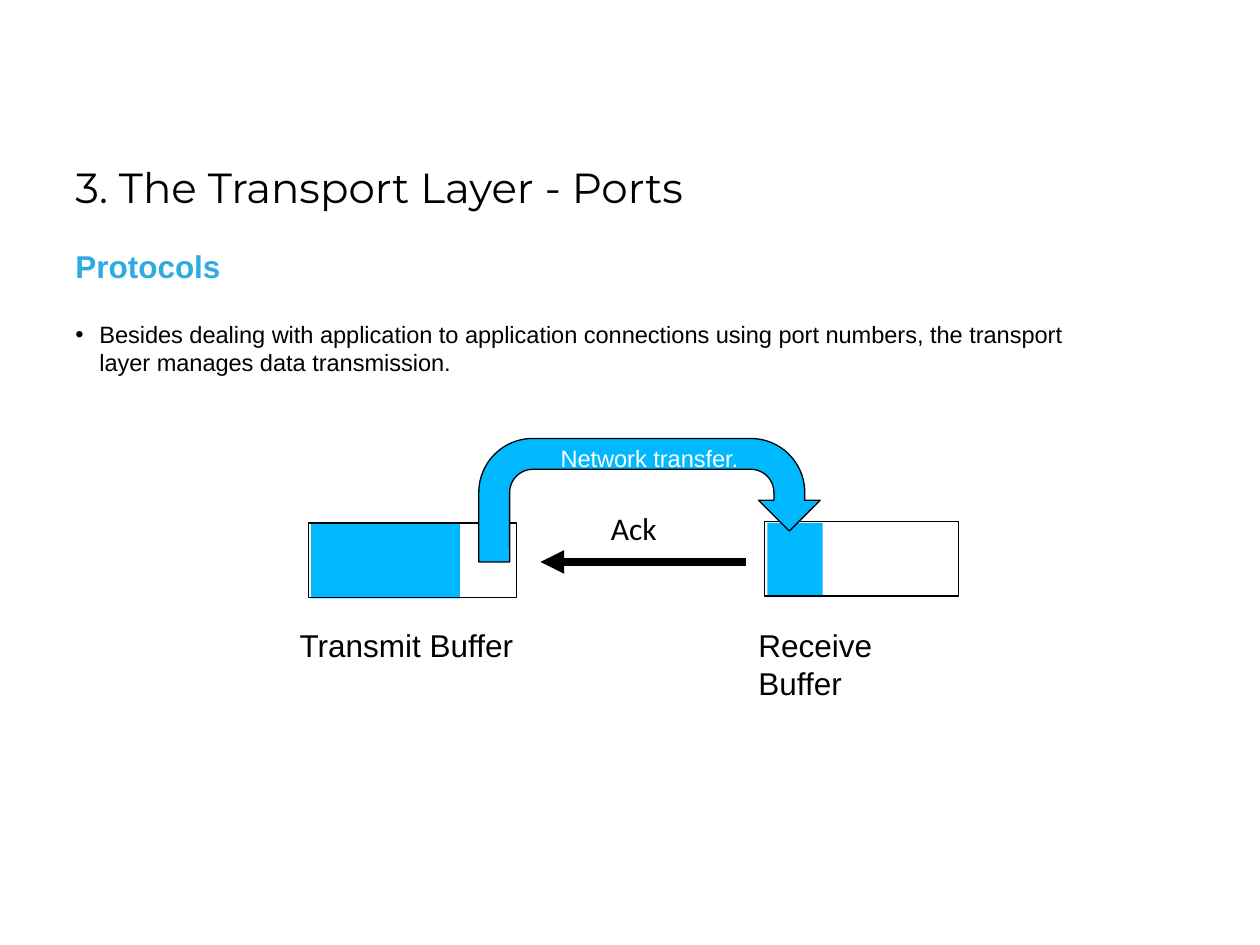
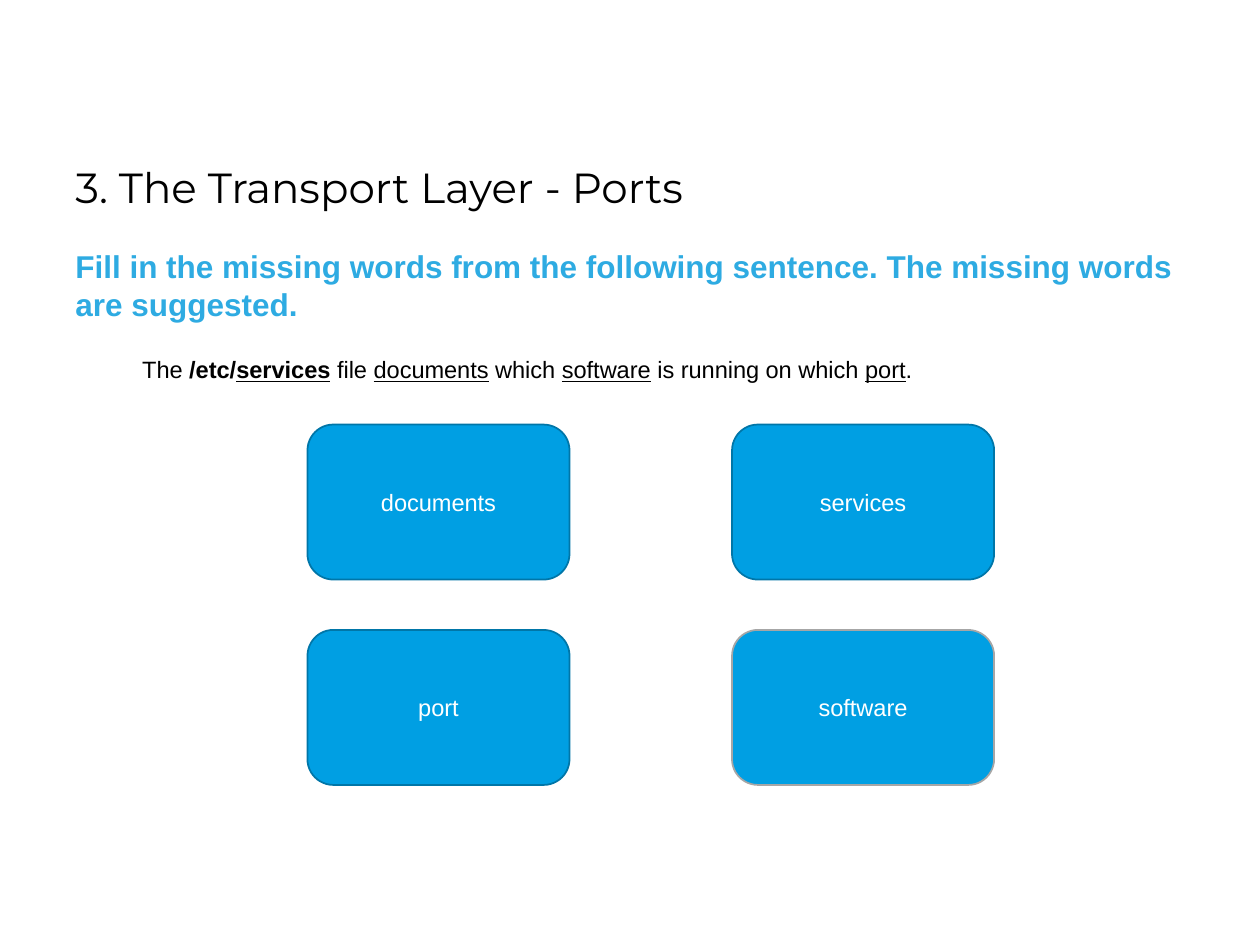
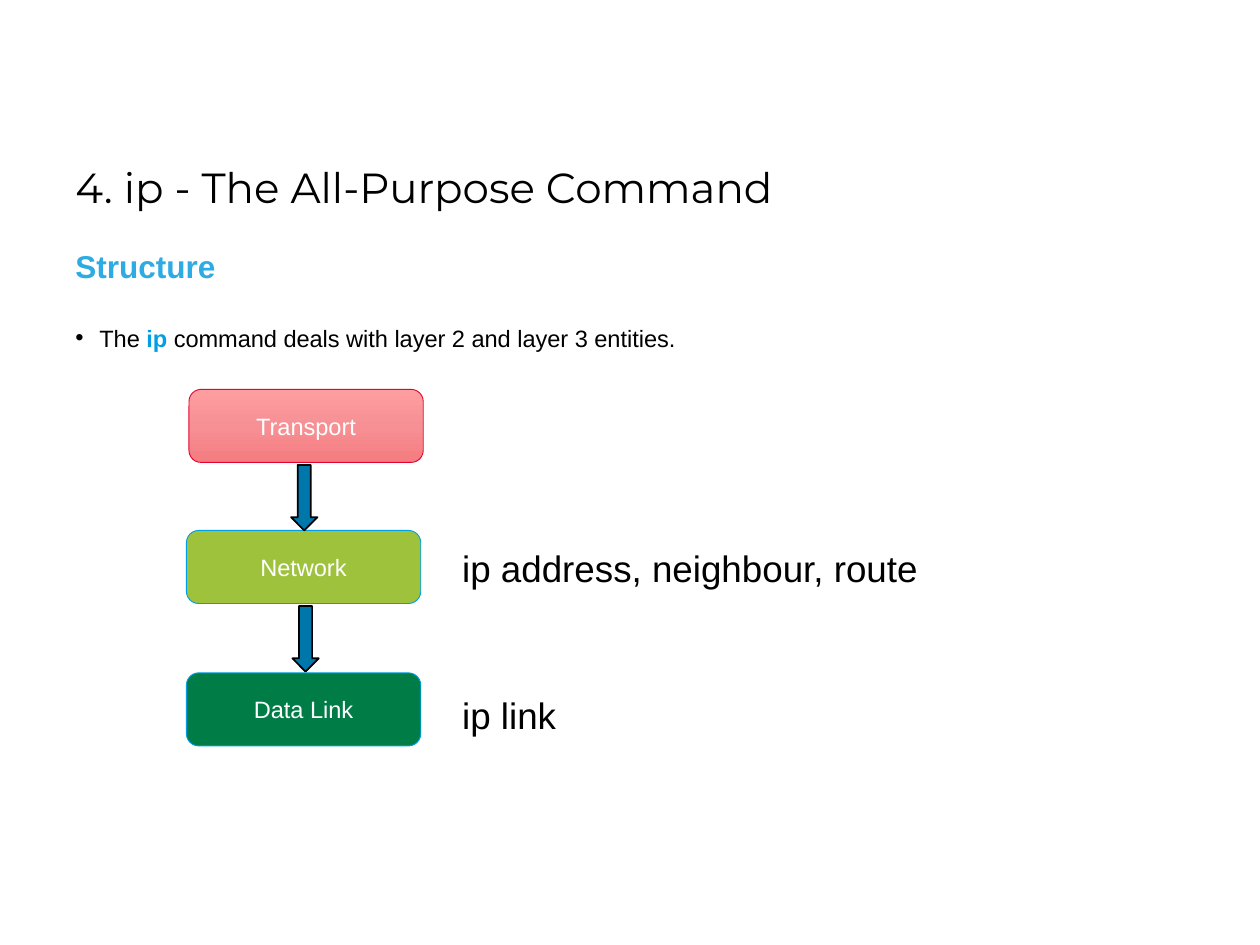
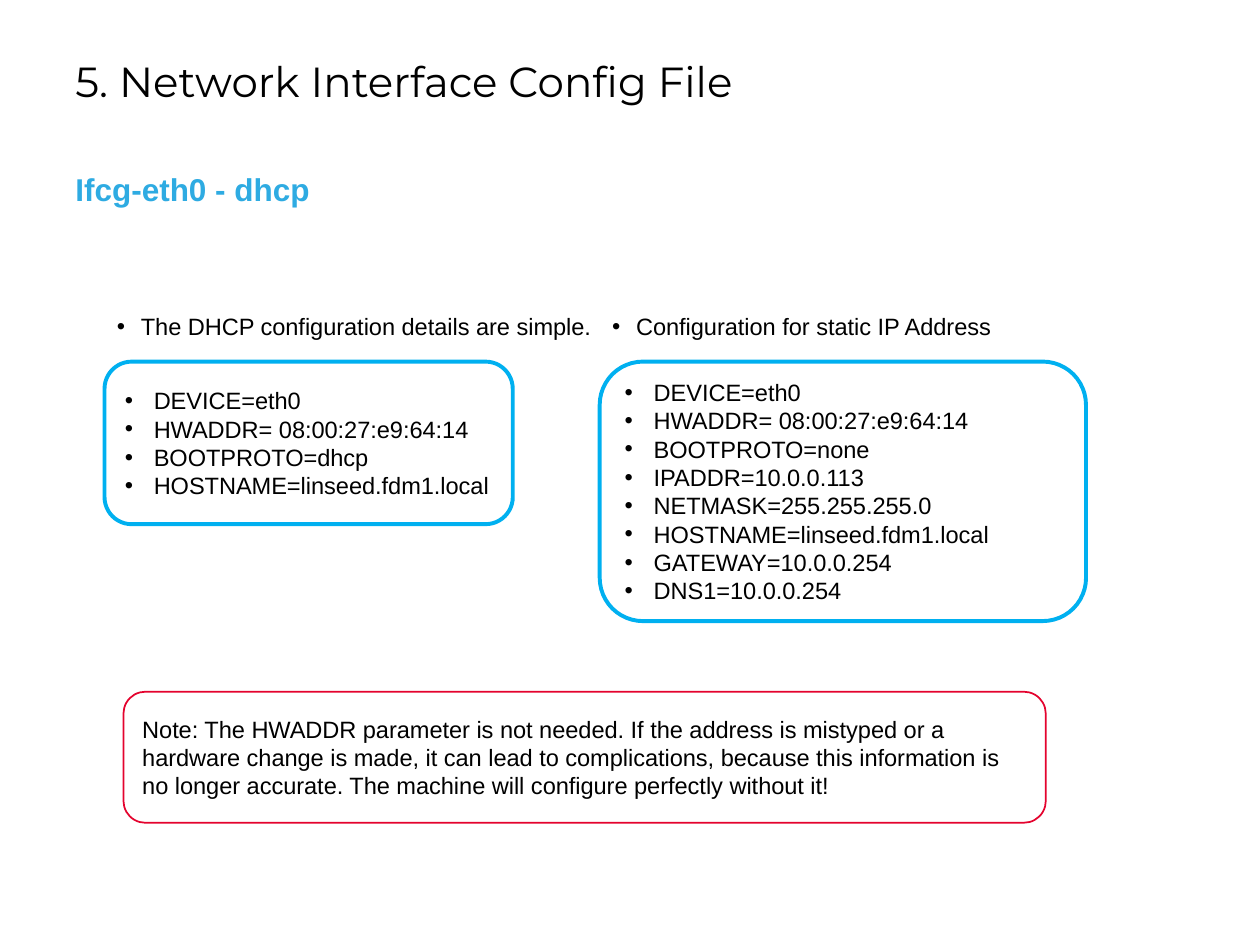
"""Build four slides on the transport layer, the ip command and network config."""
import copy

import lxml.etree
import pptx
import pptx.chart.data
import pptx.dml.color
import pptx.enum.shapes
import pptx.enum.text
import pptx.oxml.ns
import pptx.util

PX = 9144
BLACK, WHITE, RED = "000000", "FFFFFF", "E4032E"
HEAD, SKY, AQUA, CYAN, NAVY = "2EABE2", "009FE3", "00B8FF", "00B0F0", "0076A8"
KIND = pptx.enum.shapes.MSO_SHAPE
ALIGN = pptx.enum.text.PP_ALIGN
ANCHOR = pptx.enum.text.MSO_ANCHOR
qn = pptx.oxml.ns.qn


def hue(code):
    """Turn a hex string into a colour."""
    return pptx.dml.color.RGBColor.from_string(code)


def put(page, box, rows=(), kind=None, fill=None, line=None, width=1, size=13.5,
        face="Arial", ink=BLACK, bold=False, dent=0, after=0, center=False,
        middle=False, wrap=True, inset=(10, 5)):
    """Place a shape, or a text box when no kind is given, and fill in its text."""
    spot = [n * PX for n in box]
    if kind is None:
        item = page.shapes.add_textbox(*spot)
    else:
        item = page.shapes.add_shape(kind, *spot)
        item.shadow.inherit = False
        if fill:
            item.fill.solid()
            item.fill.fore_color.rgb = hue(fill)
        else:
            item.fill.background()
        if line:
            item.line.color.rgb = hue(line)
            item.line.width = pptx.util.Pt(width)
        else:
            item.line.fill.background()
    frame = item.text_frame
    frame.word_wrap = wrap
    frame.vertical_anchor = ANCHOR.MIDDLE if middle else ANCHOR.TOP
    frame.margin_left = frame.margin_right = inset[0] * PX
    frame.margin_top = frame.margin_bottom = inset[1] * PX
    for i, row in enumerate(rows):
        para = frame.add_paragraph() if i else frame.paragraphs[0]
        para.alignment = ALIGN.CENTER if center else ALIGN.LEFT
        if after:
            para.space_after = pptx.util.Pt(after)
        if dent:
            prop = para._p.get_or_add_pPr()
            prop.set("marL", str(dent * PX))
            prop.set("indent", str(-dent * PX))
            lxml.etree.SubElement(prop, qn("a:buFont")).set("typeface", "Arial")
            lxml.etree.SubElement(prop, qn("a:buChar")).set("char", "•")
        for words, marks in [(row, "")] if isinstance(row, str) else row:
            run = para.add_run()
            run.text = words
            run.font.name = face
            run.font.size = pptx.util.Pt(size)
            run.font.bold = bold or "b" in marks
            run.font.underline = "u" in marks
            run.font.color.rgb = hue(SKY if "c" in marks else ink)
    return item


deck = pptx.Presentation()
deck.slide_width, deck.slide_height = 1000 * PX, 750 * PX

ports = "3. The Transport Layer - Ports"
task = "Fill in the missing words from the following sentence. The missing words are suggested."
pages = []
for title, head, top, low, tall in [
    (ports, "Protocols", 123, 191, 40),
    (ports, task, 123, 191, 108),
    ("4. ip - The All-Purpose Command", "Structure", 123, 191, 40),
    ("5. Network Interface Config File", "Ifcg-eth0 - dhcp", 39, 130, 40),
]:
    page = deck.slides.add_slide(deck.slide_layouts[6])
    put(page, (50, top, 902, 50), [title], size=24, face="Montserrat")
    put(page, (50, low, 902, tall), [head], size=18, ink=HEAD, bold=True, after=4.5)
    pages.append(page)
flow, quiz, stack, config = pages

put(flow, (50, 249, 849, 56),
    ["Besides dealing with application to application connections using port numbers, "
     "the transport layer manages data transmission."], dent=19, after=4.5)
for left, top, full, wide in [(245, 415, 118, 165), (607, 414, 44, 154)]:
    put(flow, (left + 2, top + 1, full, 59), kind=KIND.RECTANGLE, fill=AQUA)
    put(flow, (left, top, wide, 59), kind=KIND.RECTANGLE, line=BLACK, width=0.75)
put(flow, (380, 348, 271, 98), ["Network transfer."], KIND.U_TURN_ARROW, AQUA, BLACK,
    0.75, ink=WHITE, center=True, inset=(7, 4))
put(flow, (228, 492, 195, 40), ["Transmit Buffer"], size=18)
put(flow, (592, 492, 182, 71), ["Receive Buffer"], size=18)
ack = flow.shapes.add_connector(
    pptx.enum.shapes.MSO_CONNECTOR.STRAIGHT, 592 * PX, 446 * PX, 429 * PX, 446 * PX)
ack.line.color.rgb = hue(BLACK)
ack.line.width = pptx.util.Pt(4.5)
prop = ack._element.spPr
lxml.etree.SubElement(prop.find(qn("a:ln")), qn("a:tailEnd")).set("type", "triangle")
lxml.etree.SubElement(prop, qn("a:effectLst"))
put(flow, (475, 399, 57, 40), ["Ack"], size=18, face="Calibri", wrap=False)

put(quiz, (103, 277, 849, 63), [[
    ("The ", ""), ("/etc/", "b"), ("services", "bu"), (" ", "b"), ("file ", ""),
    ("documents", "u"), (" which ", ""), ("software", "u"),
    (" is running on which ", ""), ("port", "u"), (".", "")]], after=4.5)
for i, word in enumerate(["documents", "port", "services", "software"]):
    col, row = divmod(i, 2)
    put(quiz, (244 + 337 * col, 337 + 163 * row, 208, 123), [word],
        KIND.ROUNDED_RECTANGLE, SKY, "A6A6A6" if word == "software" else NAVY,
        ink=WHITE, center=True, middle=True)

put(stack, (50, 252, 849, 33), [[
    ("The ", ""), ("ip", "bc"), (" command deals with layer 2 and layer 3 entities.", "")]],
    dent=19, after=4.5)
layers = []
for name, left, top, fill, line in [
    ("Transport", 150, 309, "FE9DA0", RED),
    ("Network", 148, 421, "9EC23C", SKY),
    ("Data Link", 148, 534, "007D46", SKY),
]:
    layers.append(put(stack, (left, top, 186, 58), [name], KIND.ROUNDED_RECTANGLE, fill,
                      line, 0.5, ink=WHITE, center=True, middle=True, inset=(7, 4)))
blend = layers[0].fill
blend.gradient()
blend.gradient_angle = 270
stops = layers[0]._element.spPr.find(qn("a:gradFill")).find(qn("a:gsLst"))
stops.insert(1, copy.deepcopy(stops[0]))
for stop, part, code in zip(blend.gradient_stops, (0, 0.5, 1), ("FE9DA0", "F69094", "F57C80")):
    stop.position = part
    stop.color.rgb = hue(code)
for left, top in [(231, 369), (232, 481)]:
    put(stack, (left, top, 21, 52), kind=KIND.DOWN_ARROW, fill="0077AA", line=BLACK)
put(stack, (357, 545, 95, 45), ["ip link"], size=21, wrap=False)
put(stack, (357, 428, 384, 45), ["ip address, neighbour, route"], size=21, wrap=False)

device = ["DEVICE=eth0", "HWADDR= 08:00:27:e9:64:14"]
host = "HOSTNAME=linseed.fdm1.local"
for left, wide, lead, span, tall, rows in [
    (83, 403, "The DHCP configuration details are simple.", 324, 129,
     device + ["BOOTPROTO=dhcp", host]),
    (476, 440, "Configuration for static IP Address", 386, 206,
     device + ["BOOTPROTO=none", "IPADDR=10.0.0.113", "NETMASK=255.255.255.0", host,
               "GATEWAY=10.0.0.254", "DNS1=10.0.0.254"]),
]:
    put(config, (left, 243, wide, 31), [lead], dent=19, after=4.5)
    put(config, (left, 287, span, tall), rows, KIND.ROUNDED_RECTANGLE, line=CYAN,
        width=2.25, dent=23, middle=True)
put(config, (98, 549, 732, 104),
    ["Note: The HWADDR parameter is not needed. If the address is mistyped or a hardware "
     "change is made, it can lead to complications, because this information is no longer "
     "accurate. The machine will configure perfectly without it!"],
    KIND.ROUNDED_RECTANGLE, WHITE, RED, middle=True)

deck.save("out.pptx")
